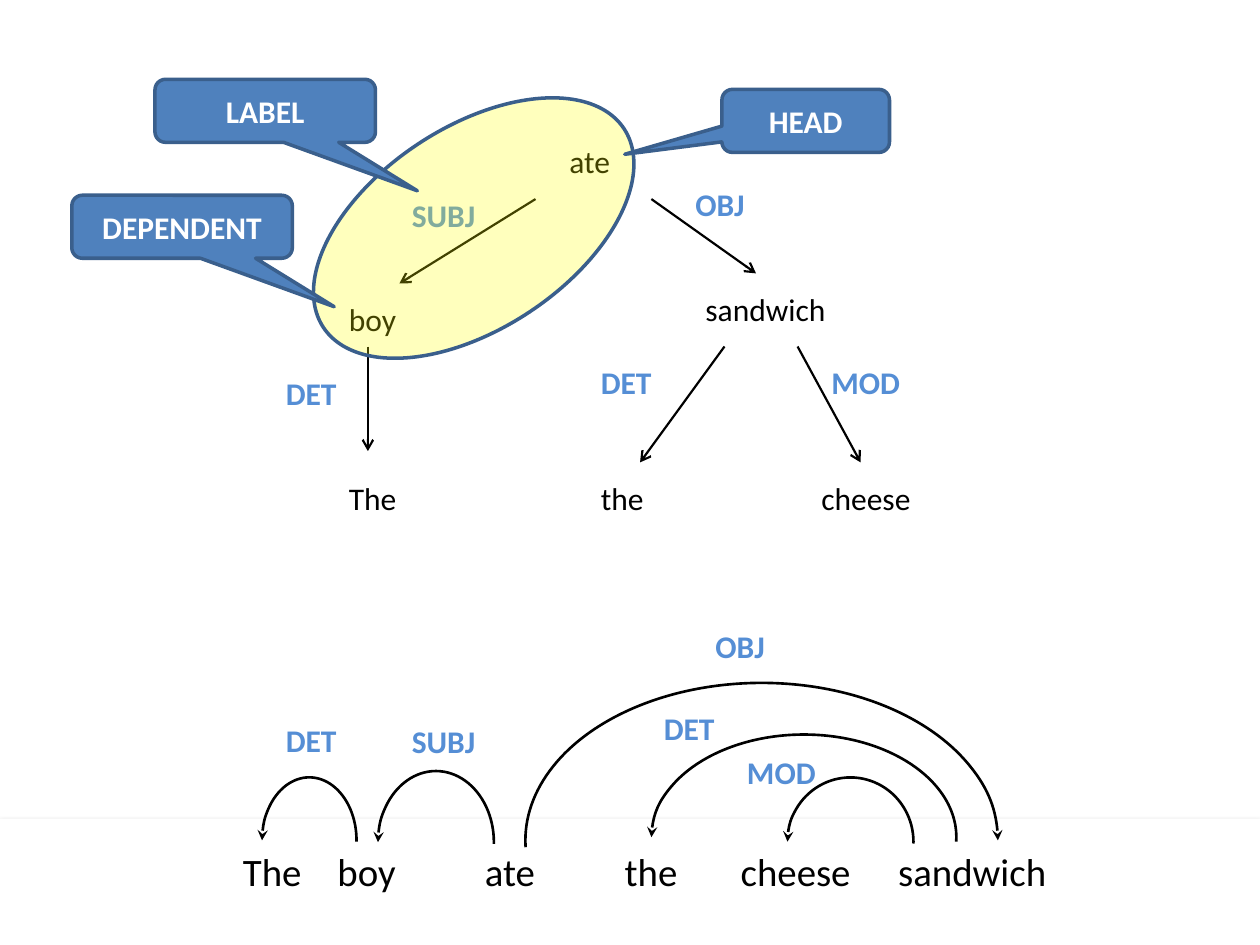
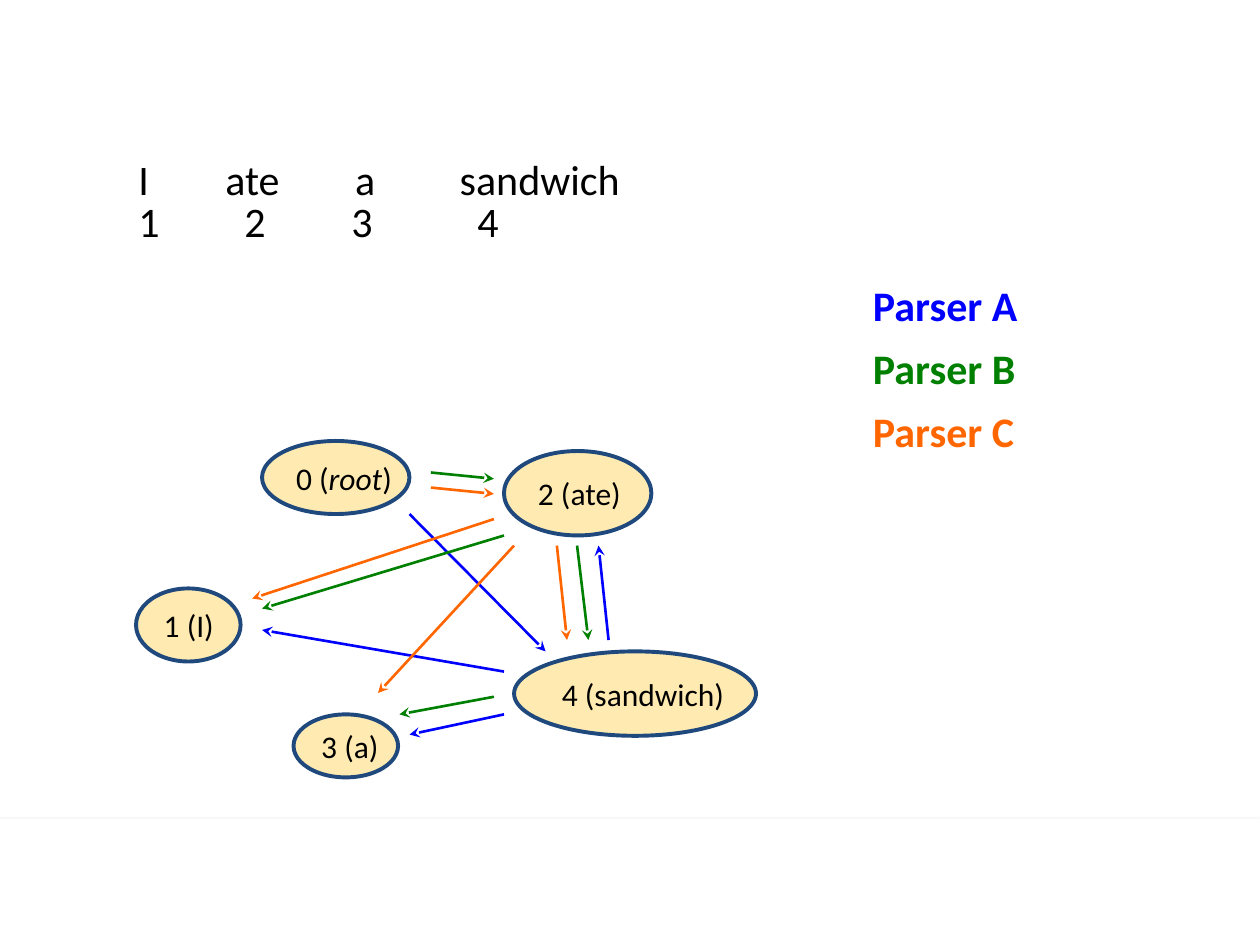
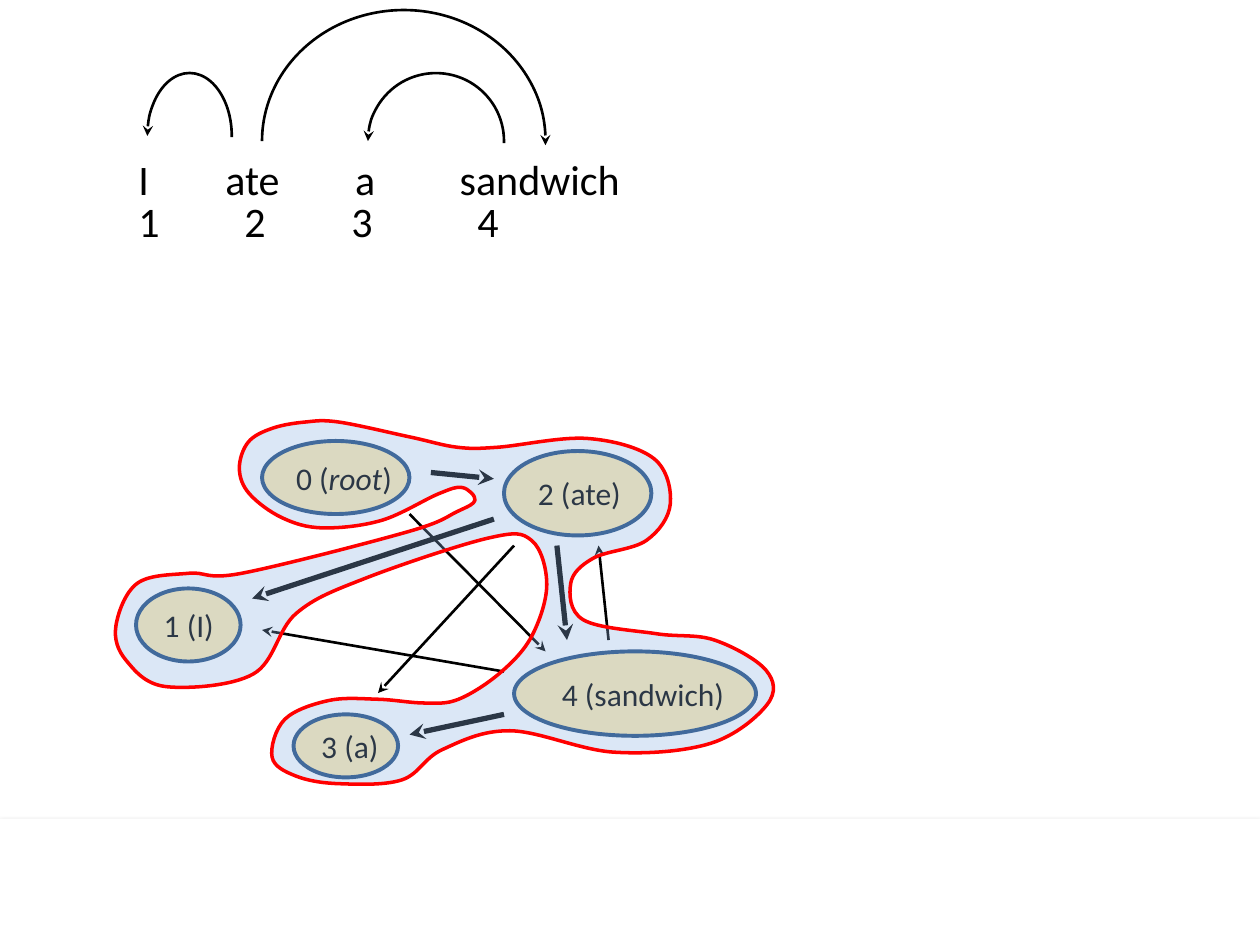
from lxml import etree
from pptx import Presentation
from pptx import util as u
from pptx.dml.color import RGBColor
from pptx.enum import shapes, text
from pptx.oxml.ns import qn

COLOURS = {
    "black": "000000", "white": "FFFFFF", "label": "558ED5",
    "callout": "4F81BD", "callout_line": "3A5F8C", "highlight": "FFFF00",
    "node": "FFC000", "node_line": "1F497D",
    "tree": "8EB4E3", "tree_line": "FF0000",
    "Parser A": "0000FF", "Parser B": "008000", "Parser C": "FF6600",
}
FORMATS = {
    "word": {"size": u.Pt(18)},
    "sentence": {"size": u.Pt(22.2)},
    "large": {"size": u.Pt(24)},
    "bold": {"size": u.Pt(18), "bold": True},
    "legend": {"size": u.Pt(24), "bold": True},
}
PRESETS = shapes.MSO_SHAPE

# Graph nodes: box, then text runs as (text, italic)
NODES = [
    ((1.08, 4.67, 0.83, 0.58), [("1 (I)", False)]),
    ((4, 3.58, 1.17, 0.67), [("2 (ate)", False)]),
    ((2.33, 5.67, 0.83, 0.5), [("3 (a)", False)]),
    ((4.08, 5.17, 1.92, 0.67), [("4 (sandwich)", False)]),
    ((2.08, 3.5, 1.17, 0.58), [("0 (", False), ("root", True), (")", False)]),
]
# Graph edges: start, end, line width in the combined graph (0 leaves it out)
EDGES = {
    "Parser A": [
        ((4, 5.67), (3.25, 5.83), 3),
        ((4, 5.33), (2.08, 5), 1.5),
        ((3.25, 4.08), (4.33, 5.17), 1.5),
        ((4.83, 5.08), (4.75, 4.33), 1.5),
    ],
    "Parser B": [
        ((3.42, 3.75), (3.92, 3.8), 3),
        ((4.58, 4.33), (4.67, 5.08), 0),
        ((4, 4.25), (2.08, 4.83), 0),
        ((3.92, 5.53), (3.17, 5.67), 0),
    ],
    "Parser C": [
        ((3.42, 3.87), (3.92, 3.92), 0),
        ((3.92, 4.12), (2, 4.75), 3),
        ((4.08, 4.33), (3, 5.5), 1.5),
        ((4.42, 4.33), (4.5, 5.08), 3),
    ],
}
# Points on the outline around the winning tree
TREE_OUTLINE = [
    (2.16, 3.4), (1.97, 3.51), (1.9, 3.72), (1.98, 3.92), (2.24, 4.11),
    (2.56, 4.19), (3.03, 4.13), (3.48, 3.92), (3.67, 3.87), (3.77, 3.97),
    (3.63, 4.06), (3.24, 4.22), (1.92, 4.55), (1.5, 4.55), (1.09, 4.63),
    (0.92, 4.97), (1, 5.24), (1.32, 5.45), (2.01, 5.35), (2.35, 4.87),
    (2.9, 4.59), (3.88, 4.27), (4.22, 4.29), (4.34, 4.64), (4.22, 5.05),
    (3.97, 5.34), (3.64, 5.55), (3.37, 5.58), (3, 5.55), (2.61, 5.56),
    (2.26, 5.71), (2.16, 6.01), (2.35, 6.16), (2.69, 6.22), (3.19, 6.19),
    (3.51, 5.95), (4.05, 5.8), (4.87, 5.97), (5.64, 5.9), (6.09, 5.59),
    (6.08, 5.32), (5.67, 5.08), (5.21, 5.03), (4.63, 4.92), (4.53, 4.63),
    (4.71, 4.43), (5.13, 4.29), (5.32, 4), (5.19, 3.64), (4.66, 3.48),
    (3.95, 3.55), (3.63, 3.55), (3.26, 3.47), (2.69, 3.35), (2.42, 3.35),
]


def inches(values):
    return [u.Inches(value) for value in values]


def add_element(parent, tag, **values):
    element = etree.SubElement(parent, qn(tag))
    for name, value in values.items():
        element.set(name, str(value))
    return element


class Deck:
    """Holds the style and the current slide."""

    font = "Calibri"

    def __init__(self):
        self.presentation = Presentation()
        self.presentation.slide_width = u.Inches(10)
        self.presentation.slide_height = u.Inches(7.5)
        self.slide = None

    def new_slide(self):
        blank = self.presentation.slide_layouts[6]
        self.slide = self.presentation.slides.add_slide(blank)
        self.footer_band()

    def footer_band(self):
        band = self.shape(PRESETS.RECTANGLE, (0, 6.5, 10, 1), "white")
        effects = band._element.spPr.find(qn("a:effectLst"))
        shadow = add_element(effects, "a:outerShdw", blurRad=u.Pt(3.1),
                             dist=u.Pt(1.8), dir=5400000, rotWithShape=0)
        colour = add_element(shadow, "a:srgbClr", val=COLOURS["black"])
        add_element(colour, "a:alpha", val=35000)

    # Formatting
    def paint(self, shape, fill=None, line=None, width=2, opacity=100):
        shape.shadow.inherit = False
        if fill:
            shape.fill.solid()
            shape.fill.fore_color.rgb = RGBColor.from_string(COLOURS[fill])
            if opacity < 100:
                colour = shape._element.spPr.find(qn("a:solidFill"))[0]
                add_element(colour, "a:alpha", val=opacity * 1000)
        else:
            shape.fill.background()
        if line:
            self.stroke(shape.line, line, width)
        else:
            shape.line.fill.background()

    def stroke(self, line, colour, width, arrow=None, end="a:tailEnd"):
        line.color.rgb = RGBColor.from_string(COLOURS[colour])
        line.width = u.Pt(width)
        if arrow:
            add_element(line._get_or_add_ln(), end, type=arrow)

    def add_words(self, paragraph, words, style, colour="black", italic=None):
        run = paragraph.add_run()
        run.text = words
        values = {"name": self.font, "italic": italic, **FORMATS[style]}
        for name, value in values.items():
            setattr(run.font, name, value)
        run.font.color.rgb = RGBColor.from_string(COLOURS[colour])

    # Elements
    def shape(self, preset, box, fill=None, line=None, width=2, opacity=100):
        shape = self.slide.shapes.add_shape(preset, *inches(box))
        self.paint(shape, fill, line, width, opacity)
        return shape

    def label(self, words, box, style, colour="black", wrap=False, grow=True):
        frame = self.slide.shapes.add_textbox(*inches(box)).text_frame
        frame.word_wrap = wrap
        fit = text.MSO_AUTO_SIZE
        frame.auto_size = fit.SHAPE_TO_FIT_TEXT if grow else fit.NONE
        paragraph = frame.paragraphs[0]
        self.add_words(paragraph, words, style, colour)
        return paragraph

    def tabbed(self, words, top, stops):
        paragraph = self.label("\t".join(words), (1, top, 4.58, 0.5), "large", wrap=True)
        tabs = add_element(paragraph._p.get_or_add_pPr(), "a:tabLst")
        for stop in stops:
            add_element(tabs, "a:tab", pos=u.Inches(stop), algn="l")

    def arrow(self, start, end, colour="black", width=1.5, head="stealth"):
        connector = self.slide.shapes.add_connector(
            shapes.MSO_CONNECTOR.STRAIGHT, *inches(start + end))
        self.stroke(connector.line, colour, width, head)
        add_element(connector._element.spPr, "a:effectLst")

    def arc(self, box, flip=True, end="a:tailEnd"):
        arc = self.shape(PRESETS.ARC, box)
        arc.adjustments[0], arc.adjustments[1] = 107, 0
        if flip:
            arc._element.spPr.find(qn("a:xfrm")).set("flipH", "1")
        self.stroke(arc.line, "black", 1.5, "stealth", end)

    def callout(self, words, box, pointer):
        callout = self.shape(PRESETS.ROUNDED_RECTANGULAR_CALLOUT, box,
                             "callout", "callout_line")
        for index, value in enumerate(pointer):
            callout.adjustments[index] = value
        callout.text_frame.vertical_anchor = text.MSO_ANCHOR.MIDDLE
        paragraph = callout.text_frame.paragraphs[0]
        paragraph.alignment = text.PP_ALIGN.CENTER
        self.add_words(paragraph, words, "bold", "white")

    def node(self, box, runs):
        node = self.shape(PRESETS.OVAL, box, "node", "node_line", 2.25, 30)
        frame = node.text_frame
        frame.word_wrap = False
        frame.vertical_anchor = text.MSO_ANCHOR.MIDDLE
        paragraph = frame.paragraphs[0]
        paragraph.alignment = text.PP_ALIGN.LEFT
        for words, italic in runs:
            self.add_words(paragraph, words, "word", italic=italic)

    def smooth_outline(self, points):
        """Closed curve through the points, with handles set by their neighbours."""
        points = [tuple(inches(point)) for point in points]
        builder = self.slide.shapes.build_freeform(*points[0])
        builder.add_line_segments(points[1:] + points[:1], close=True)
        shape = builder.convert_to_shape()
        self.paint(shape, "tree", "tree_line", 2, 31)
        segments = list(shape._element.iter(qn("a:lnTo")))
        corners = [(int(segment[0].get("x")), int(segment[0].get("y")))
                   for segment in segments]
        count = len(corners)
        for index, segment in enumerate(segments):
            before, start, end, after = [
                corners[(index + step) % count] for step in (-2, -1, 0, 1)]
            first = [s + (e - b) / 6 for s, e, b in zip(start, end, before)]
            second = [e - (a - s) / 6 for e, a, s in zip(end, after, start)]
            curve = etree.Element(qn("a:cubicBezTo"))
            for x, y in (first, second, end):
                add_element(curve, "a:pt", x=round(x), y=round(y))
            segment.getparent().replace(segment, curve)

    # Content shared by the two graph slides
    def graph_slide(self):
        self.new_slide()
        for box, runs in NODES:
            self.node(box, runs)
        self.tabbed(["I", "ate", "a", "sandwich"], 1.17, [0.69, 1.72, 2.55])
        self.tabbed(["1", "2", "3", "4"], 1.5, [0.84, 1.69, 2.69])


def dependency_slide(deck):
    deck.new_slide()
    # Sentence with arcs
    for word, left, width in [("The", 1.83, 0.81), ("ate", 3.75, 0.73),
                              ("the", 4.86, 0.72), ("boy", 2.58, 0.81),
                              ("cheese", 5.78, 1.31), ("sandwich", 7.03, 1.56)]:
        paragraph = deck.label(word, (left, 6.75, width, 0.42), "sentence",
                               wrap=True, grow=False)
        paragraph.line_spacing = 0.8
    deck.arc((4.17, 5.42, 3.75, 2.5), flip=False)
    for box in [(5.17, 5.83, 2.42, 1.63), (6.25, 6.17, 1, 1.02),
                (2.08, 6.17, 0.75, 1), (3, 6.12, 0.92, 1.13)]:
        deck.arc(box)

    # Tree words and arrows
    for word, left, top, width in [
            ("The", 2.67, 3.75, 0.58), ("boy", 2.67, 2.33, 0.58),
            ("cheese", 6.42, 3.75, 0.92), ("the", 4.67, 3.75, 0.55),
            ("ate", 4.42, 1.08, 0.53), ("sandwich", 5.5, 2.25, 1.17)]:
        deck.label(word, (left, top, width, 0.4), "word")
    for start, end in [((4.25, 1.58), (3.17, 2.25)), ((2.92, 2.75), (2.92, 3.58)),
                       ((5.17, 1.58), (6, 2.17)), ((5.75, 2.75), (5.08, 3.67)),
                       ((6.33, 2.75), (6.83, 3.67))]:
        deck.arrow(start, end, width=1.25, head="arrow")

    # Relation labels
    widths = {"SUBJ": 0.71, "DET": 0.6, "OBJ": 0.6, "MOD": 0.75}
    for relation, left, top in [
            ("SUBJ", 3.17, 1.51), ("DET", 4.67, 2.83), ("DET", 2.17, 2.92),
            ("OBJ", 5.42, 1.42), ("MOD", 6.5, 2.83), ("DET", 2.17, 5.67),
            ("SUBJ", 3.17, 5.68), ("OBJ", 5.58, 4.93), ("DET", 5.17, 5.58),
            ("MOD", 5.83, 5.93)]:
        deck.label(relation, (left, top, widths[relation], 0.4), "bold", "label")

    # Highlighted relation and its callouts
    highlight = deck.shape(PRESETS.OVAL, (2.33, 1.01, 2.86, 1.6),
                           "highlight", "callout_line", opacity=26)
    highlight.rotation = 326.5
    deck.callout("HEAD", (5.73, 0.71, 1.33, 0.5), (-1.08, 0.53))
    deck.callout("DEPENDENT", (0.57, 1.55, 1.75, 0.5), (0.69, 1.27))
    deck.callout("LABEL", (1.23, 0.63, 1.75, 0.5), (0.69, 1.27))


def parsers_slide(deck):
    deck.graph_slide()
    for index, (parser, edges) in enumerate(EDGES.items()):
        deck.label(parser, (6.83, 2.17 + index * 0.5, 1.83, 0.5), "legend",
                   parser, wrap=True)
        for start, end, _ in edges:
            deck.arrow(start, end, parser)


def combined_slide(deck):
    deck.graph_slide()
    for edges in EDGES.values():
        for start, end, width in edges:
            if width:
                deck.arrow(start, end, width=width)
    deck.smooth_outline(TREE_OUTLINE)
    deck.arc((2.08, 0.08, 2.25, 2.08), end="a:headEnd")
    deck.arc((2.92, 0.58, 1.08, 1.08))
    deck.arc((1.17, 0.58, 0.67, 1))


def main():
    deck = Deck()
    dependency_slide(deck)
    parsers_slide(deck)
    combined_slide(deck)
    deck.presentation.save("out.pptx")


if __name__ == "__main__":
    main()
